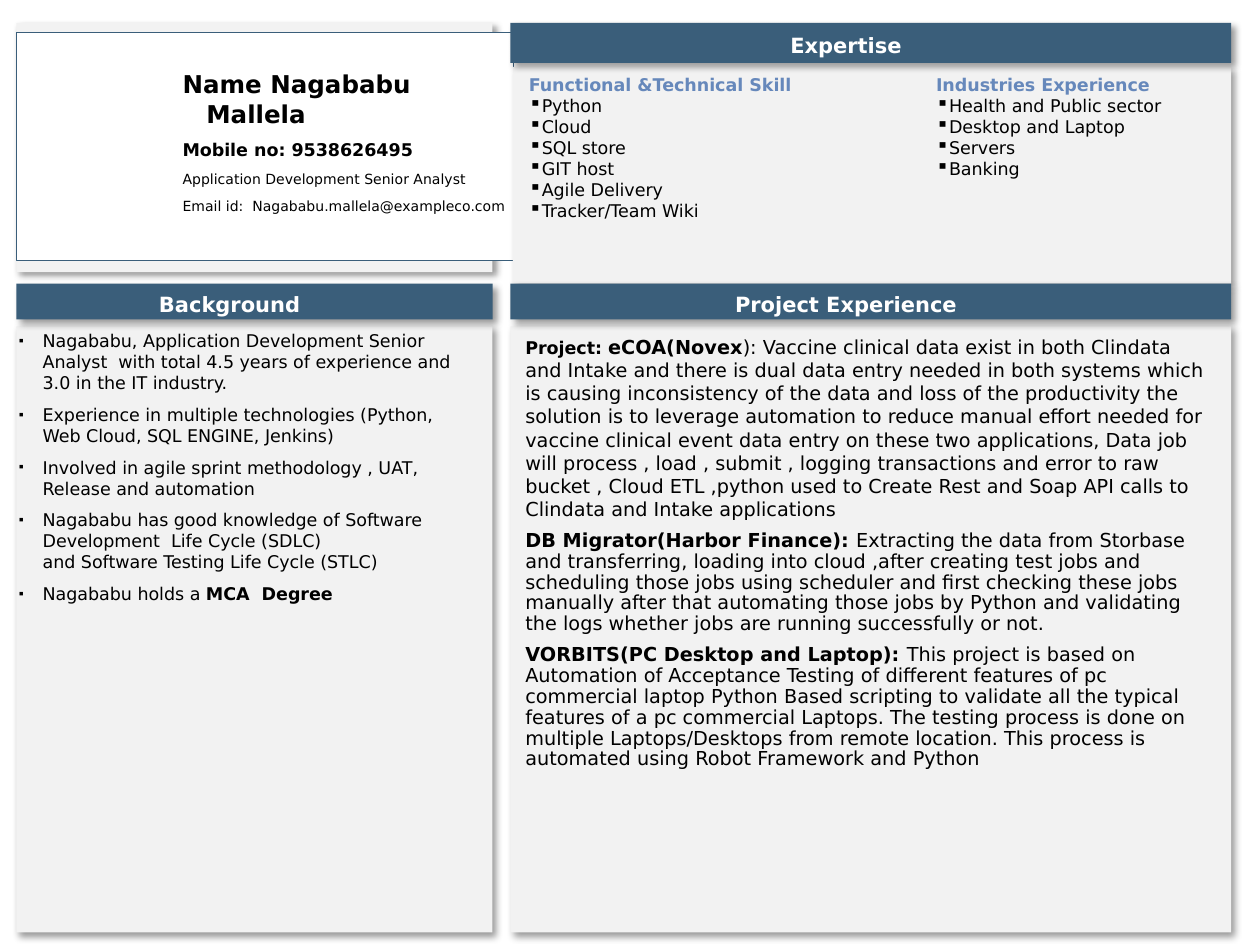
from collections import namedtuple

from lxml import etree
from pptx import Presentation
from pptx.dml.color import RGBColor
from pptx.enum.shapes import MSO_SHAPE
from pptx.enum.text import MSO_ANCHOR, MSO_AUTO_SIZE, PP_ALIGN
from pptx.oxml.ns import qn
from pptx.util import Cm, Pt

COLORS = {"bar": "3A5E7A", "panel": "F2F2F2", "white": "FFFFFF",
          "text": "000000", "accent": "6688BB"}
FONT = "DejaVu Sans"
Box = namedtuple("Box", "left top width height")

BACKGROUND = [
    ["Nagababu, Application Development Senior Analyst  with total 4.5 years "
     "of experience and 3.0 in the IT industry."],
    ["Experience in multiple technologies (Python, Web Cloud, SQL ENGINE, Jenkins)"],
    ["Involved in agile sprint methodology , UAT, Release and automation"],
    ["Nagababu has good knowledge of Software Development  Life Cycle (SDLC)",
     "\v", "and Software Testing Life Cycle (STLC)"],
    ["Nagababu holds a ", ("MCA  Degree", True)],
]
PROJECTS = [
    [("Project: ", True, 10), ("eCOA(Novex", True),
     "): Vaccine clinical data exist in both Clindata and Intake and there is dual "
     "data entry needed in both systems which is causing inconsistency of the data "
     "and loss of the productivity the solution is to leverage automation to reduce "
     "manual effort needed for vaccine clinical event data entry on these two "
     "applications, Data job will process , load , submit , logging transactions and "
     "error to raw bucket , Cloud ETL ,python used to Create Rest and Soap API calls "
     "to Clindata and Intake applications"],
    [("DB Migrator(Harbor Finance): ", True),
     "Extracting the data from Storbase and transferring, loading into cloud ,after "
     "creating test jobs and scheduling those jobs using scheduler and first checking "
     "these jobs manually after that automating those jobs by Python and validating "
     "the logs whether jobs are running successfully or not."],
    [("VORBITS(PC Desktop and Laptop): ", True),
     "This project is based on Automation of Acceptance Testing of different features "
     "of pc commercial laptop Python Based scripting to validate all the typical "
     "features of a pc commercial Laptops. The testing process is done on multiple "
     "Laptops/Desktops from remote location. This process is automated using Robot "
     "Framework and Python"],
]
SKILLS = ["Python", "Cloud", "SQL store", "GIT host", "Agile Delivery", "Tracker/Team Wiki"]
INDUSTRIES = ["Health and Public sector", "Desktop and Laptop", "Servers", "Banking"]
CONTACT = [("Name Nagababu Mallela", 14, True), ("Mobile no: 9538626495", 10, True),
           ("Application Development Senior Analyst", 8, False),
           ("Email id:  Nagababu.mallela@exampleco.com", 8, False)]


def rgb(key):
    return RGBColor.from_string(COLORS[key])


def place(shape, box):
    shape.left, shape.top, shape.width, shape.height = (Cm(side) for side in box)


def add_shadow(shape):
    effects = etree.SubElement(shape._element.spPr, qn("a:effectLst"))
    shadow = etree.SubElement(effects, qn("a:outerShdw"), blurRad=str(Pt(4)),
                              dist=str(Pt(3)), dir=str(45 * 60000), rotWithShape="0")
    tint = etree.SubElement(shadow, qn("a:srgbClr"), val="000000")
    etree.SubElement(tint, qn("a:alpha"), val="40000")


def add_panel(slide, box):
    panel = slide.shapes.add_shape(MSO_SHAPE.RECTANGLE, *(Cm(side) for side in box))
    panel.fill.solid()
    panel.fill.fore_color.rgb = rgb("panel")
    panel.line.fill.background()
    add_shadow(panel)


def set_frame(shape, insets, anchor=MSO_ANCHOR.TOP):
    frame = shape.text_frame
    frame.word_wrap = True
    frame.auto_size = MSO_AUTO_SIZE.NONE
    frame.vertical_anchor = anchor
    (frame.margin_left, frame.margin_top,
     frame.margin_right, frame.margin_bottom) = (Cm(inset) for inset in insets)
    return frame


def next_paragraph(frame, index):
    return frame.add_paragraph() if index else frame.paragraphs[0]


def style(paragraph, size, color="text", bold=False, hang=0, bullet=None, scale=100):
    props = paragraph._p.get_or_add_pPr()
    props.set("marL", str(Cm(hang)))
    props.set("indent", str(-Cm(hang)))
    if bullet:
        etree.SubElement(props, qn("a:buSzPct"), val=str(scale * 1000))
        etree.SubElement(props, qn("a:buChar"), char=bullet)
    else:
        etree.SubElement(props, qn("a:buNone"))
    font = paragraph.font
    font.name, font.size, font.bold = FONT, Pt(size), bold
    font.color.rgb = rgb(color)


def add_runs(paragraph, parts):
    for part in parts:
        if part == "\v":
            paragraph.add_line_break()
            continue
        text, bold, size = ((part,) if isinstance(part, str) else part) + (None, None)[
            :2 if isinstance(part, str) else 3 - len(part)]
        run = paragraph.add_run()
        run.text = text
        if bold:
            run.font.bold = True
        if size:
            run.font.size = Pt(size)


def bring_to_front(shape):
    shape._element.getparent().append(shape._element)


def add_heading(heading, text, box):
    bring_to_front(heading)
    place(heading, box)
    heading.fill.solid()
    heading.fill.fore_color.rgb = rgb("bar")
    add_shadow(heading)
    frame = set_frame(heading, (0.13, 0.2, 1.13, 0.1), MSO_ANCHOR.MIDDLE)
    title = frame.paragraphs[0]
    title.text = text
    title.alignment = PP_ALIGN.CENTER
    title.space_before = Pt(0)
    style(title, 12, "white", True)


def add_section(slide, heading, body, box, title, offset, entries, size,
                tight=1, **list_style):
    bar_height, panel_top = 0.72, 0.86
    add_panel(slide, Box(box.left, box.top + panel_top, box.width, box.height - panel_top))
    add_heading(heading, title, Box(box.left, box.top, box.width, bar_height))
    bring_to_front(body)
    dx, dy, width, height = offset
    place(body, Box(box.left + dx, box.top + panel_top + dy, width, height))
    frame = set_frame(body, (0.05, 0, 0, 0))
    for index, parts in enumerate(entries):
        entry = next_paragraph(frame, index)
        entry.space_before = Pt(6 if index else 0)
        entry.line_spacing = tight if index else 1.0
        style(entry, size, **list_style)
        add_runs(entry, parts)


def add_skill_list(slide, box, title, items):
    skills = slide.shapes.add_textbox(*(Cm(side) for side in box))
    frame = set_frame(skills, (0.25, 0.13, 0.25, 0.13))
    caption = frame.paragraphs[0]
    caption.text = title
    caption.line_spacing = 1.5
    style(caption, 10, "accent", True)
    for item in items:
        entry = frame.add_paragraph()
        entry.text = item
        entry.level = 1
        style(entry, 10, hang=0.25, bullet="▪")


def add_expertise(slide, heading, box):
    add_panel(slide, Box(box.left + 0.05, box.top + 0.89, box.width - 0.05, box.height - 0.89))
    add_heading(heading, "Expertise", Box(box.left, box.top, box.width, 0.81))
    list_top = box.top + 0.69
    add_skill_list(slide, Box(box.left + 0.12, list_top, 8.2, 3.58),
                   "Functional &Technical Skill", SKILLS)
    add_skill_list(slide, Box(box.left + 8.33, list_top, 6.17, 3.1),
                   "Industries Experience", INDUSTRIES)


def add_profile(slide, box):
    add_panel(slide, box)
    card = slide.shapes.add_shape(MSO_SHAPE.RECTANGLE, Cm(box.left), Cm(box.top + 0.2),
                                  Cm(box.width + 0.43), Cm(box.height - 0.43))
    card.shadow.inherit = False
    card.fill.solid()
    card.fill.fore_color.rgb = rgb("white")
    card.line.color.rgb = rgb("bar")
    card.line.width = Pt(0.75)
    contact = slide.shapes.add_textbox(Cm(box.left + 3.1), Cm(box.top + 0.81),
                                       Cm(7.21), Cm(0.79))
    frame = set_frame(contact, (0.25, 0.13, 0.25, 0.13))
    for index, (text, size, bold) in enumerate(CONTACT):
        line = next_paragraph(frame, index)
        line.text = text
        line.space_before = Pt(3 if index else 0)
        line.space_after = Pt(3)
        style(line, size, bold=bold, hang=0.48)


def main():
    deck = Presentation()
    deck.slide_width, deck.slide_height = Cm(25.4), Cm(19.05)
    slide = deck.slides.add_slide(deck.slide_layouts[4])
    for footer in [ph for ph in slide.placeholders if ph.placeholder_format.idx > 4]:
        footer._element.getparent().remove(footer._element)
    expertise, background, history, projects, details = slide.placeholders

    left, right, top, middle = 0.33, 10.29, 0.46, 5.72
    left_width, right_width, lower_height = 9.6, 14.53, 13.08
    add_profile(slide, Box(left, top, left_width, 5.03))
    add_expertise(slide, expertise, Box(right, top, right_width, middle - top))
    add_section(slide, background, history, Box(left, middle, left_width, lower_height),
                "Background", Box(0, 0.08, 9.14, 11.5), BACKGROUND, 10,
                hang=0.48, bullet="▪", scale=80)
    add_section(slide, projects, details, Box(right, middle, right_width, lower_height),
                "Project Experience", Box(0.25, 0.18, 13.92, 8.38), PROJECTS, 11, tight=0.9)
    deck.save("out.pptx")


if __name__ == "__main__":
    main()
